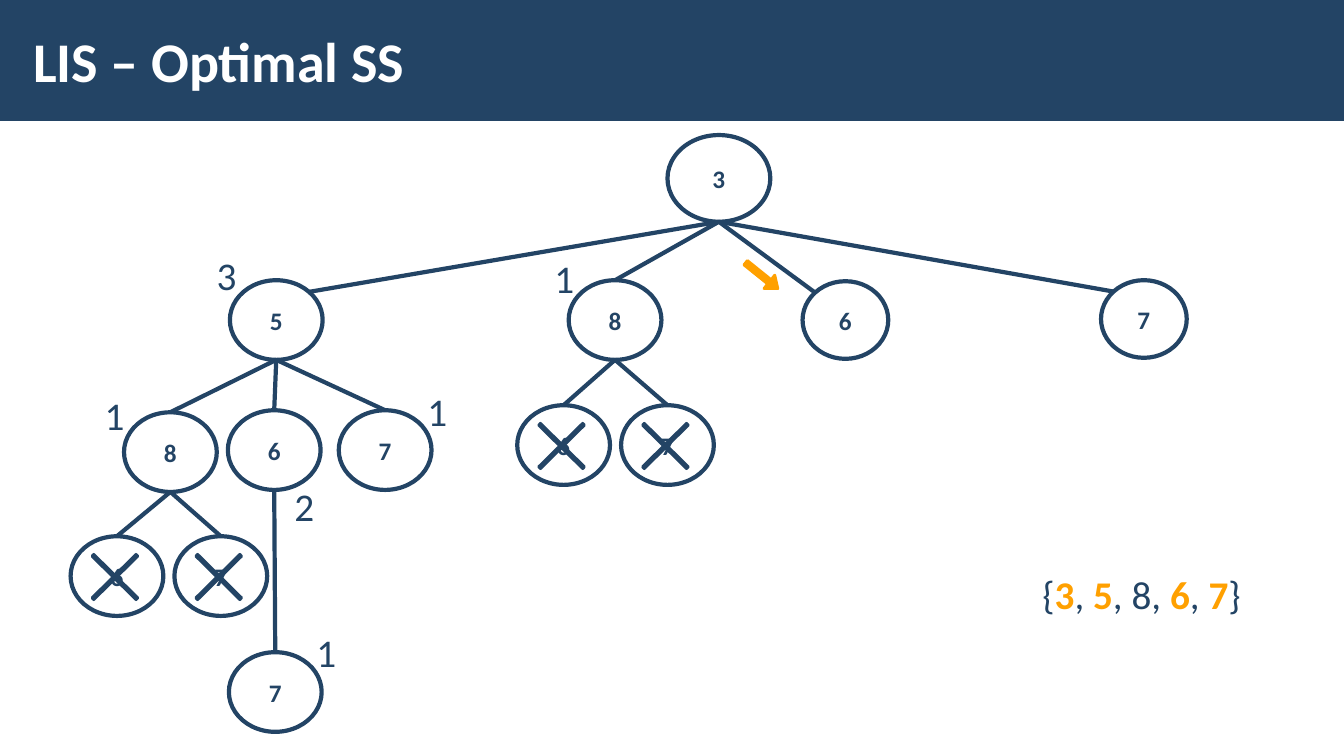
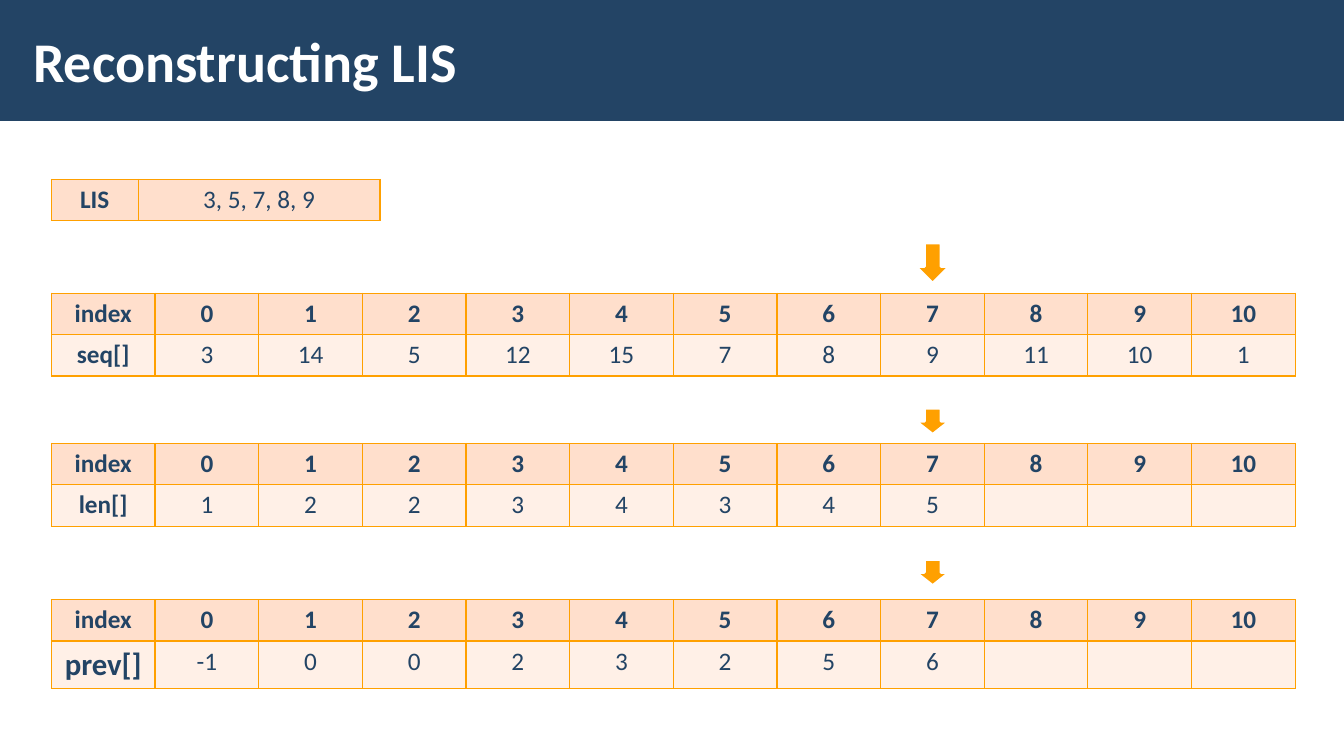
"""Build two slides on the longest increasing subsequence: a search tree and its tables."""
from math import sqrt

from lxml import etree
from pptx import Presentation, util as u
from pptx.dml.color import RGBColor
from pptx.enum import shapes, text
from pptx.oxml import ns

THEME = {
    "navy": "234465", "orange": "FFA000", "white": "FFFFFF",
    "head": "FFDFCC", "body": "FFF0E7", "font": "Calibri",
    "title": 40, "note": 28, "large_cell": 22, "base": 18,
    "edge": 3, "outline": 2, "border": 1,
}
PX = 9144
SLIDE_SIZE = (1333, 750)

TREE_TITLE = "LIS – Optimal SS"
ROOT_SIZE, NODE_SIZE, OPEN_SIZE = (102, 86), (92, 79), (85, 77)
NODES = {
    "3": (662, 134, ROOT_SIZE),
    "3 5": (228, 278, NODE_SIZE),
    "3 8": (564, 278, NODE_SIZE),
    "3 6": (796, 279, OPEN_SIZE),
    "3 7": (1092, 278, OPEN_SIZE),
    "3 5 8": (123, 409, NODE_SIZE),
    "3 5 6": (226, 407, NODE_SIZE),
    "3 5 7": (336, 407, NODE_SIZE),
    "3 5 8 6": (70, 532, NODE_SIZE),
    "3 5 8 7": (173, 532, NODE_SIZE),
    "3 5 6 7": (227, 647, NODE_SIZE),
    "3 8 6": (513, 402, NODE_SIZE),
    "3 8 7": (616, 402, NODE_SIZE),
}
EDGE_SIDES = {"3 5": 1, "3 6": -1, "3 7": -1}
REJECTED = ("3 5 8 6", "3 5 8 7", "3 8 6", "3 8 7")
LENGTHS = [("3", 205, 244), ("1", 540, 247), ("1", 94, 383),
           ("1", 414, 379), ("2", 282, 474), ("1", 304, 618)]
SEQUENCE = [("{", False), ("3", True), (", ", False), ("5", True), (", 8, ", False),
            ("6", True), (", ", False), ("7", True), ("}", False)]

TABLE_TITLE = "Reconstructing LIS"
TABLE_LEFT, TABLE_WIDTH, ROW_HEIGHT = 51, 1234, 41
INDEX = ["index", *map(str, range(11))]
ARRAYS = [
    {"top": 291, "arrow": (241, 40), "label": "seq[]", "size": "base",
     "values": [3, 14, 5, 12, 15, 7, 8, 9, 11, 10, 1]},
    {"top": 440, "arrow": (405, 26), "label": "len[]", "size": "base",
     "values": [1, 2, 2, 3, 4, 3, 4, 5]},
    {"top": 595, "arrow": (555, 26), "label": "prev[]", "size": "large_cell",
     "values": [-1, 0, 0, 2, 3, 2, 5, 6]},
]
CURRENT, ARROW_WIDTH = 7, 33
RESULT = ["LIS", "3, 5, 7, 8, 9"]


def px(*lengths):
    return [u.Emu(round(length * PX)) for length in lengths]


def color(key):
    return RGBColor.from_string(THEME[key])


def apply(target, **values):
    for name, value in values.items():
        setattr(target, name, value)


def write(paragraph, words, size="base", ink="navy", bold=False):
    run = paragraph.add_run()
    run.text = words
    apply(run.font, name=THEME["font"], size=u.Pt(THEME[size]), bold=bold)
    run.font.color.rgb = color(ink)


def set_line(line, ink, width):
    line.color.rgb = color(ink)
    line.width = u.Pt(THEME[width])


def add_figure(slide, kind, box, fill, line=None, width="outline", adjust=()):
    figure = slide.shapes.add_shape(kind, *px(*box))
    figure.shadow.inherit = False
    figure.fill.solid()
    figure.fill.fore_color.rgb = color(fill)
    if line:
        set_line(figure.line, line, width)
    else:
        figure.line.fill.background()
    for position, value in enumerate(adjust):
        figure.adjustments[position] = value
    return figure


def add_text(slide, box, parts, size, **frame_values):
    frame = slide.shapes.add_textbox(*px(*box)).text_frame
    apply(frame, word_wrap=True, **frame_values)
    for words, ink, bold in parts:
        write(frame.paragraphs[0], words, size, ink, bold)


def add_slide(deck, title):
    slide = deck.slides.add_slide(deck.slide_layouts[6])
    add_figure(slide, shapes.MSO_SHAPE.RECTANGLE, (0, 0, SLIDE_SIZE[0], 120), "navy")
    side, edge = px(12, 4)
    add_text(slide, (21, 11, 1063, 97), [(title, "white", True)], "title",
             vertical_anchor=text.MSO_ANCHOR.MIDDLE, margin_left=side,
             margin_right=side, margin_top=edge, margin_bottom=edge)
    return slide


def add_edge(slide, branch):
    parent = branch.rsplit(" ", 1)[0]
    left, top, (width, height) = NODES[branch]
    parent_left, parent_top, (parent_width, parent_height) = NODES[parent]
    side = EDGE_SIDES.get(branch, 0)
    end_x = left + width / 2 + side * width / 2 * sqrt(0.5)
    end_y = top + abs(side) * height / 2 * (1 - sqrt(0.5))
    start = parent_left + parent_width / 2, parent_top + parent_height
    edge = slide.shapes.add_connector(
        shapes.MSO_CONNECTOR.STRAIGHT, *px(*start, end_x, end_y))
    set_line(edge.line, "navy", "edge")
    etree.SubElement(edge._element.spPr, ns.qn("a:effectLst"))


def add_node(slide, branch):
    left, top, size = NODES[branch]
    node = add_figure(slide, shapes.MSO_SHAPE.OVAL, (left, top, *size),
                      "white", "navy", "edge")
    paint = node._element.spPr.find(ns.qn("a:solidFill"))[0]
    etree.SubElement(paint, ns.qn("a:alpha"), val="50000")
    edge = px(4)[0]
    apply(node.text_frame, margin_left=0, margin_right=0, margin_top=edge,
          margin_bottom=edge, vertical_anchor=text.MSO_ANCHOR.MIDDLE)
    paragraph = node.text_frame.paragraphs[0]
    paragraph.alignment = text.PP_ALIGN.CENTER
    write(paragraph, branch.split()[-1], bold=True)


def fill_cell(cell, words, fill, size="base", bold=False):
    cell.fill.solid()
    cell.fill.fore_color.rgb = color(fill)
    paragraph = cell.text_frame.paragraphs[0]
    paragraph.alignment = text.PP_ALIGN.CENTER
    if words:
        write(paragraph, words, size, bold=bold)
    properties = cell._tc.get_or_add_tcPr()
    for position, side in enumerate(("lnL", "lnR", "lnT", "lnB")):
        border = etree.Element(ns.qn(f"a:{side}"), w=str(u.Pt(THEME["border"])))
        paint = etree.SubElement(border, ns.qn("a:solidFill"))
        etree.SubElement(paint, ns.qn("a:srgbClr"), val=THEME["orange"])
        properties.insert(position, border)


def add_grid(slide, top, rows, widths, label_size="base"):
    frame = slide.shapes.add_table(
        len(rows), len(widths),
        *px(TABLE_LEFT, top, sum(widths), ROW_HEIGHT * len(rows)))
    grid = frame.table
    for column, width in zip(grid.columns, widths):
        column.width = px(width)[0]
    for r, row in enumerate(rows):
        grid.rows[r].height = px(ROW_HEIGHT)[0]
        for c, words in enumerate(row):
            is_label = c == 0
            fill_cell(grid.cell(r, c), words, "body" if r else "head",
                      label_size if r and is_label else "base",
                      is_label or (r == 0 and len(rows) > 1))


def build_tree(deck):
    slide = add_slide(deck, TREE_TITLE)
    for branch in NODES:
        if " " in branch:
            add_edge(slide, branch)
    for branch in NODES:
        add_node(slide, branch)
    for branch in REJECTED:
        left, top, _ = NODES[branch]
        add_figure(slide, shapes.MSO_SHAPE.MATH_MULTIPLY,
                   (left + 2, top - 1, 84, 83), "navy", "navy", adjust=[0.03])
    pointer = add_figure(slide, shapes.MSO_SHAPE.RIGHT_ARROW, (735, 265, 41, 17),
                         "orange", "orange", adjust=[0.32, 0.63])
    pointer.rotation = 38.8
    for length, left, top in LENGTHS:
        add_text(slide, (left, top, 28, 57), [(length, "navy", False)], "note")
    parts = [(words, "orange" if chosen else "navy", chosen)
             for words, chosen in SEQUENCE]
    add_text(slide, (1024, 561, 230, 57), parts, "note")


def build_tables(deck):
    slide = add_slide(deck, TABLE_TITLE)
    column = TABLE_WIDTH / len(INDEX)
    arrow_left = TABLE_LEFT + (CURRENT + 1.5) * column - ARROW_WIDTH / 2
    add_grid(slide, 178, [RESULT], [86, 240])
    for array in ARRAYS:
        arrow_top, arrow_height = array["arrow"]
        add_figure(slide, shapes.MSO_SHAPE.DOWN_ARROW,
                   (arrow_left, arrow_top, ARROW_WIDTH, arrow_height), "orange", "white")
        values = [array["label"], *map(str, array["values"])]
        values += [""] * (len(INDEX) - len(values))
        add_grid(slide, array["top"], [INDEX, values],
                 [column] * len(INDEX), array["size"])


def main():
    deck = Presentation()
    deck.slide_width, deck.slide_height = px(*SLIDE_SIZE)
    build_tree(deck)
    build_tables(deck)
    deck.save("out.pptx")


if __name__ == "__main__":
    main()
